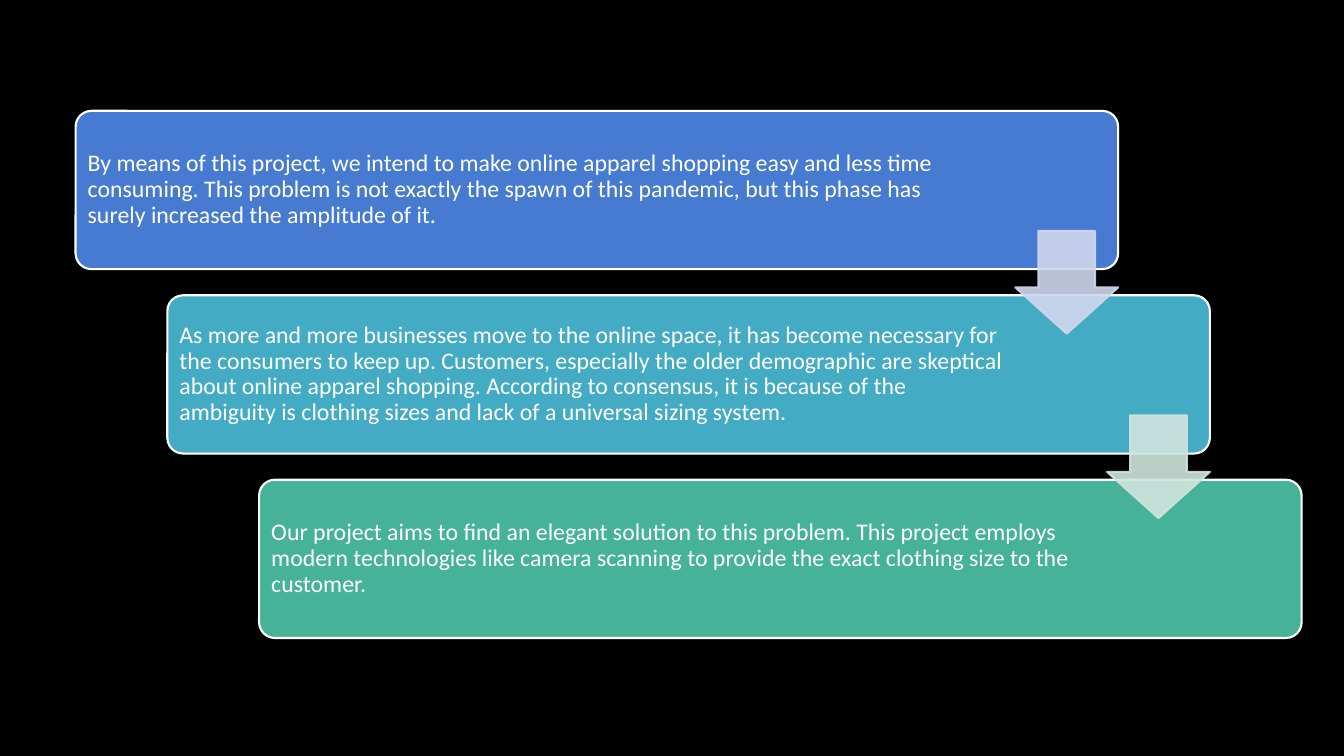
from lxml import etree
from pptx import Presentation
from pptx.dml.color import RGBColor
from pptx.enum.shapes import MSO_SHAPE as Shape
from pptx.enum.text import MSO_ANCHOR as Anchor, PP_ALIGN as Align
from pptx.oxml.ns import qn
from pptx.util import Inches, Pt

COLORS = {
    "background": "000000",
    "white": "FFFFFF",
    "blue": "477BD1",
    "teal": "44ABC4",
    "green": "46B298",
    "pale blue": "CFD7EE",
    "pale green": "CFE4DD",
}
SLIDE_WIDTH, SLIDE_HEIGHT = 13.33, 7.5

# Staircase measures, in inches
FIRST_LEFT, FIRST_TOP = 0.75, 1.1
STEP_RIGHT, STEP_DOWN = 0.91, 1.83
BOX_WIDTH, BOX_HEIGHT = 10.34, 1.57
TEXT_MARGIN = 0.05
ARROW_SIZE, ARROW_DROP = 1.02, 1.19

# Each step: fill, text width, text, colour of the arrow to the next step
STEPS = [
    ("blue", 8.64,
     "By means of this project, we intend to make online apparel shopping easy "
     "and less time consuming. This problem is not exactly the spawn of this "
     "pandemic, but this phase has surely increased the amplitude of it.",
     "pale blue"),
    ("teal", 8.31,
     "As more and more businesses move to the online space, it has become "
     "necessary for the consumers to keep up. Customers, especially the older "
     "demographic are skeptical about online apparel shopping. According to "
     "consensus, it is because of the ambiguity is clothing sizes and lack of a "
     "universal sizing system.",
     "pale green"),
    ("green", 8.31,
     "Our project aims to find an elegant solution to this problem. This project "
     "employs modern technologies like camera scanning to provide the exact "
     "clothing size to the customer.",
     None),
]


def color(name):
    return RGBColor.from_string(COLORS[name])


def add_preset(slide, kind, box, adjustments, fill, line):
    shape = slide.shapes.add_shape(kind, *map(Inches, box))
    for index, value in enumerate(adjustments):
        shape.adjustments[index] = value
    shape.shadow.inherit = False
    shape.fill.solid()
    shape.fill.fore_color.rgb = color(fill)
    shape.line.color.rgb = color(line)
    shape.line.width = Pt(1.5)
    return shape


def add_step(slide, left, top, fill, text_width, text):
    # Rounded panel
    add_preset(slide, Shape.ROUNDED_RECTANGLE, (left, top, BOX_WIDTH, BOX_HEIGHT),
               [0.1], fill, "white")

    # Statement, kept clear of the arrows on the right
    text_box = slide.shapes.add_textbox(
        Inches(left + TEXT_MARGIN), Inches(top + TEXT_MARGIN),
        Inches(text_width), Inches(BOX_HEIGHT - 2 * TEXT_MARGIN))
    frame = text_box.text_frame
    frame.word_wrap = True
    frame.vertical_anchor = Anchor.MIDDLE
    frame.margin_left = frame.margin_right = Inches(0.07)
    frame.margin_top = frame.margin_bottom = Inches(0.07)
    paragraph = frame.paragraphs[0]
    paragraph.alignment = Align.LEFT
    paragraph.line_spacing = 0.9
    run = paragraph.add_run()
    run.text = text
    run.font.name = "Calibri"
    run.font.size = Pt(17)
    run.font.color.rgb = color("white")


def add_step_arrow(slide, left, top, fill):
    # The arrow is flush with the right side of its step
    box = (left + BOX_WIDTH - ARROW_SIZE, top + ARROW_DROP, ARROW_SIZE, ARROW_SIZE)
    # Down arrow adjustments: shaft width, head length
    arrow = add_preset(slide, Shape.DOWN_ARROW, box, [0.55, 0.45], fill, fill)
    arrow.adjustments[0], arrow.adjustments[1] = 0.55, 0.45
    for tint in arrow.element.spPr.iter(qn("a:srgbClr")):
        etree.SubElement(tint, qn("a:alpha"), val="90000")


def add_staircase(slide, left, top):
    corners = [(left + index * STEP_RIGHT, top + index * STEP_DOWN)
               for index in range(len(STEPS))]
    for corner, (fill, text_width, text, _) in zip(corners, STEPS):
        add_step(slide, *corner, fill, text_width, text)
    # Arrows lie over all the steps
    for corner, (*_, arrow_fill) in zip(corners, STEPS):
        if arrow_fill:
            add_step_arrow(slide, *corner, arrow_fill)


def main():
    presentation = Presentation()
    presentation.slide_width = Inches(SLIDE_WIDTH)
    presentation.slide_height = Inches(SLIDE_HEIGHT)
    slide = presentation.slides.add_slide(presentation.slide_layouts[6])
    slide.background.fill.solid()
    slide.background.fill.fore_color.rgb = color("background")
    add_staircase(slide, FIRST_LEFT, FIRST_TOP)
    presentation.save("out.pptx")


if __name__ == "__main__":
    main()
